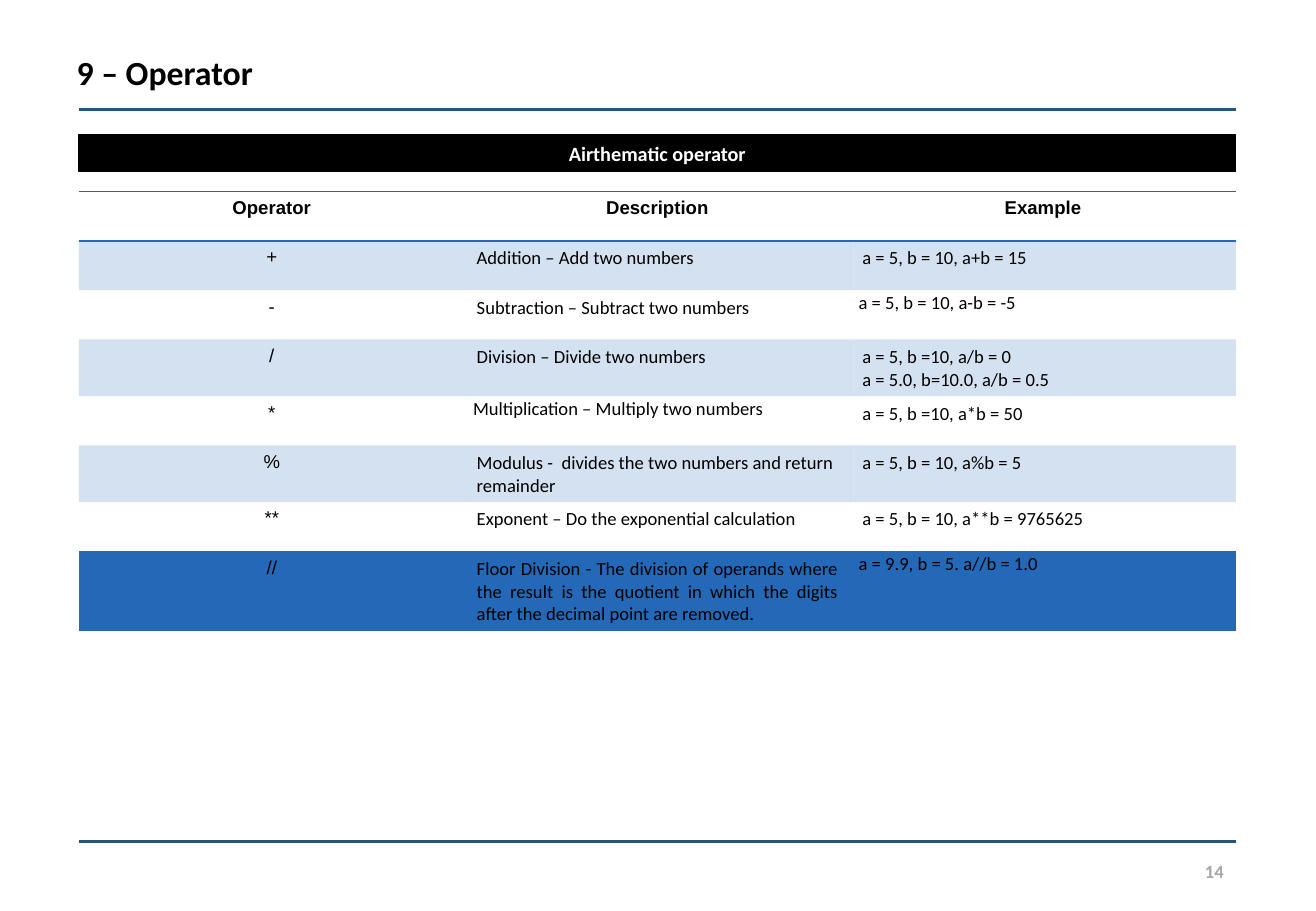
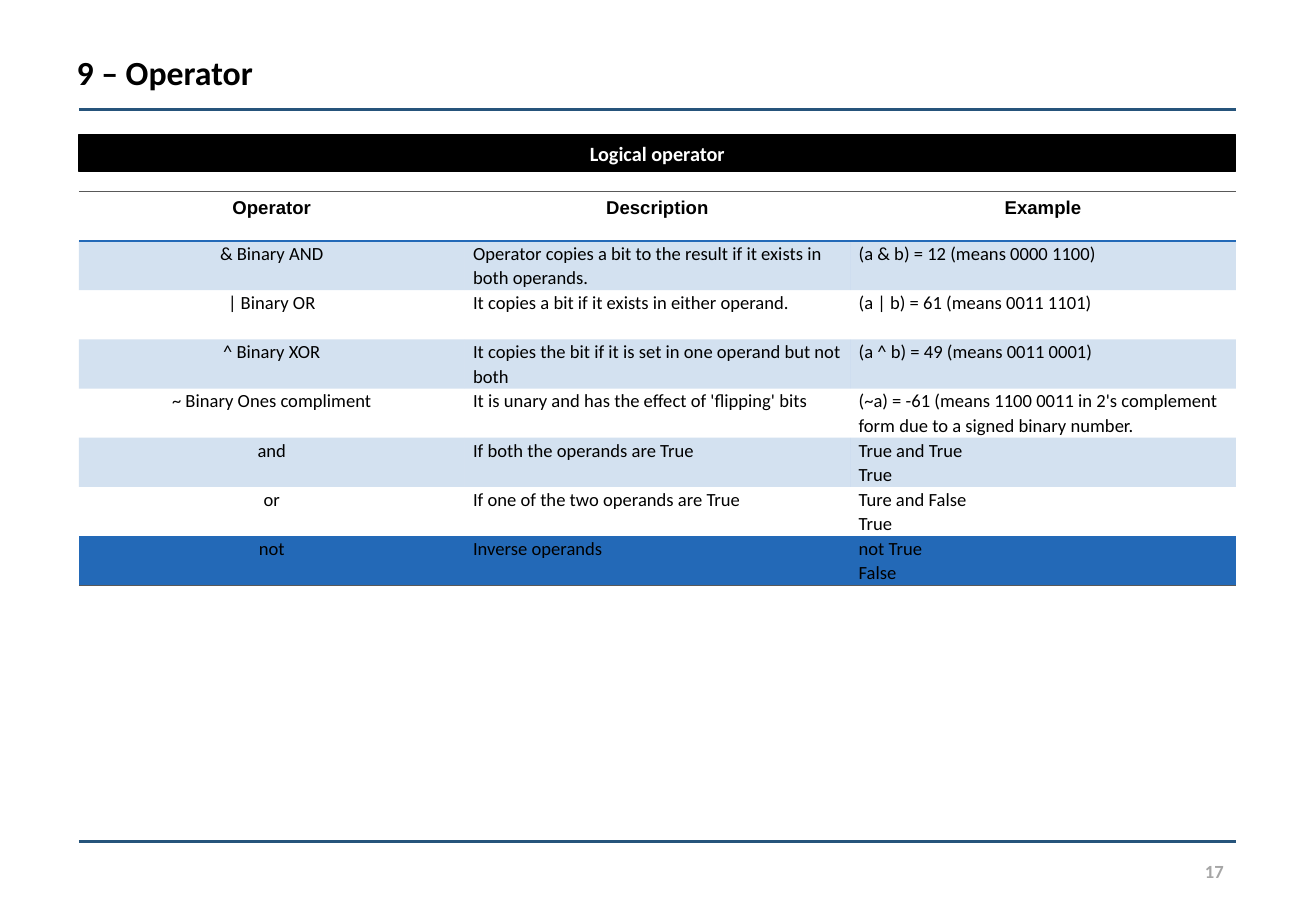
import pptx
import pptx.util
import pptx.dml.color
import pptx.enum.shapes
import pptx.enum.text
import pptx.oxml
import pptx.oxml.ns
from lxml import etree

Inches, Pt = pptx.util.Inches, pptx.util.Pt
ALIGN = pptx.enum.text.PP_ALIGN
ANCHOR = pptx.enum.text.MSO_ANCHOR
qn = pptx.oxml.ns.qn

# Shared grid (inches) and colours
WIDTH, HEIGHT = 10.83, 7.5
LEFT, RIGHT = 0.65, 10.17
CONTENT = RIGHT - LEFT
COLUMNS, ROW_HEIGHT = 3, 0.405
BLACK, WHITE, GREY = "000000", "FFFFFF", "A6A6A6"
RULE, BLUE, HAIRLINE = "26547B", "2369B7", "595959"
NO_STYLE = "{2D5ABB26-0587-4C30-8999-92F81FD0307C}"
THICK, THIN = (BLUE, 1.5), (HAIRLINE, 0.75)

HEADINGS = ("Operator", "Description", "Example")
ARITHMETIC = (
    ("+", "Addition – Add two numbers", "a = 5, b = 10, a+b = 15"),
    ("-", "Subtraction – Subtract two numbers", "a = 5, b = 10, a-b = -5"),
    ("/", "Division – Divide two numbers",
     "a = 5, b =10, a/b = 0\na = 5.0, b=10.0, a/b = 0.5"),
    ("*", "Multiplication – Multiply two numbers", "a = 5, b =10, a*b = 50"),
    ("%", "Modulus -  divides the two numbers and return remainder",
     "a = 5, b = 10, a%b = 5"),
    ("**", "Exponent – Do the exponential calculation",
     "a = 5, b = 10, a**b = 9765625"),
    ("//", "Floor Division - The division of operands where the result is the "
     "quotient in which the digits after the decimal point are removed.",
     "a = 9.9, b = 5. a//b = 1.0"),
)
LOGICAL = (
    ("& Binary AND",
     "Operator copies a bit to the result if it exists in both operands.",
     "(a & b) = 12 (means 0000 1100)"),
    ("| Binary OR", "It copies a bit if it exists in either operand.",
     "(a | b) = 61 (means 0011 1101)"),
    ("^ Binary XOR",
     "It copies the bit if it is set in one operand but not both",
     "(a ^ b) = 49 (means 0011 0001)"),
    ("~ Binary Ones compliment",
     "It is unary and has the effect of 'flipping' bits",
     "(~a) = -61 (means 1100 0011 in 2's complement form due to a signed "
     "binary number."),
    ("and", "If both the operands are True", "True and True\nTrue"),
    ("or", "If one of the two operands are True", "Ture and False\nTrue"),
    ("not", "Inverse operands", "not True\nFalse"),
)


def rgb(value):
    return pptx.dml.color.RGBColor.from_string(value)


def box(left, top, width, height):
    return [Inches(v) for v in (left, top, width, height)]


def write(tf, text, size, color=BLACK, font="Calibri", bold=True,
          align=ALIGN.LEFT, spacing=None):
    tf.text = text
    tf.word_wrap = True
    for p in tf.paragraphs:
        p.alignment = align
        if spacing:
            p.line_spacing = spacing
        for r in p.runs:
            r.font.size, r.font.name, r.font.bold = Pt(size), font, bold
            r.font.color.rgb = rgb(color)


def add_rule(s, y):
    line = s.shapes.add_connector(
        pptx.enum.shapes.MSO_CONNECTOR.STRAIGHT,
        Inches(LEFT), Inches(y), Inches(RIGHT), Inches(y))
    line.line.color.rgb = rgb(RULE)
    line.line.width = Pt(1.5)
    etree.SubElement(line._element.spPr, qn("a:effectLst"))


def add_frame(s, title, number):
    # Title between the margins, then the two rules and the page number
    sp = s.shapes.title
    sp.left, sp.top, sp.width, sp.height = box(0.53, 0.38, 9.8, 0.45)
    write(sp.text_frame, title, 20)
    sp.text_frame.vertical_anchor = ANCHOR.TOP
    sp.text_frame.auto_size = pptx.enum.text.MSO_AUTO_SIZE.NONE
    for y in (0.9, 6.93):
        add_rule(s, y)
    page = s.shapes.add_textbox(*box(RIGHT - 1.84, 6.93, 1.84, 0.49))
    write(page.text_frame, str(number), 11, GREY, align=ALIGN.RIGHT)
    page.text_frame.vertical_anchor = ANCHOR.MIDDLE


def add_banner(s, text, left, top, width, height):
    sp = s.shapes.add_shape(pptx.enum.shapes.MSO_SHAPE.RECTANGLE,
                            *box(left, top, width, height))
    sp.shadow.inherit = False
    sp.fill.solid()
    sp.fill.fore_color.rgb = rgb(BLACK)
    sp.line.color.rgb = rgb(BLACK)
    sp.line.width = Pt(0.75)
    write(sp.text_frame, text, 12, WHITE, align=ALIGN.CENTER)
    sp.text_frame.margin_top = sp.text_frame.margin_bottom = 0
    sp.text_frame.vertical_anchor = ANCHOR.MIDDLE


def add_border(cell, side, color, width):
    ln = etree.SubElement(cell._tc.get_or_add_tcPr(), qn("a:ln" + side),
                          w=str(Pt(width)))
    fill = etree.SubElement(ln, qn("a:solidFill"))
    etree.SubElement(fill, qn("a:srgbClr"), val=color)


def tint(cell):
    cell.fill.solid()
    cell.fill.fore_color.rgb = rgb(BLUE)
    color = cell._tc.tcPr.find(".//" + qn("a:srgbClr"))
    etree.SubElement(color, qn("a:alpha"), val="20000")


def add_operator_table(s, rows, left, top, width, symbol_font, is_tight,
                       bottom, justified=()):
    """Place the table; is_tight(row, col) picks the cells with small insets."""
    count = len(rows) + 1
    table = s.shapes.add_table(
        count, COLUMNS, *box(left, top, width, count * ROW_HEIGHT)).table
    table.first_row = table.horz_banding = False
    table._tbl.tblPr.find(qn("a:tableStyleId")).text = NO_STYLE
    for i, values in enumerate((HEADINGS,) + rows):
        table.rows[i].height = Inches(ROW_HEIGHT)
        for j, text in enumerate(values):
            cell = table.cell(i, j)
            header, tight = i == 0, is_tight(i, j)
            # Borders come before the fill in a cell
            if header:
                add_border(cell, "T", *THIN)
                add_border(cell, "B", *THICK)
            elif i == count - 1:
                add_border(cell, "B", *bottom)
            if i % 2:
                tint(cell)
            else:
                cell.fill.background()
            if tight:
                cell.margin_left = cell.margin_right = Inches(0.07)
                cell.margin_top = cell.margin_bottom = 0
            align = ALIGN.CENTER if header or j == 0 else ALIGN.LEFT
            if (i, j) in justified:
                align = ALIGN.JUSTIFY
            font = "Arial" if header else "Calibri" if j else symbol_font
            write(cell.text_frame, text, 11, font=font, bold=header,
                  align=align, spacing=1.07 if tight else None)


def add_operator_slide(prs, number, banner, rows, **table_options):
    s = prs.slides.add_slide(prs.slide_layouts[5])
    add_frame(s, "9 – Operator", number)
    add_banner(s, banner, LEFT, 1.11, CONTENT, 0.3)
    add_operator_table(s, rows, LEFT, 1.58, CONTENT, **table_options)


def main():
    prs = pptx.Presentation()
    prs.slide_width, prs.slide_height = Inches(WIDTH), Inches(HEIGHT)
    add_operator_slide(
        prs, 14, "Airthematic operator", ARITHMETIC, symbol_font="Arial",
        is_tight=lambda i, j: (i, j) in {(2, 2), (4, 1), (7, 2)},
        bottom=THICK, justified={(7, 1)})
    add_operator_slide(
        prs, 17, "Logical operator", LOGICAL, symbol_font="Calibri",
        is_tight=lambda i, j: i > 0, bottom=THIN)
    prs.save("out.pptx")


if __name__ == "__main__":
    main()
